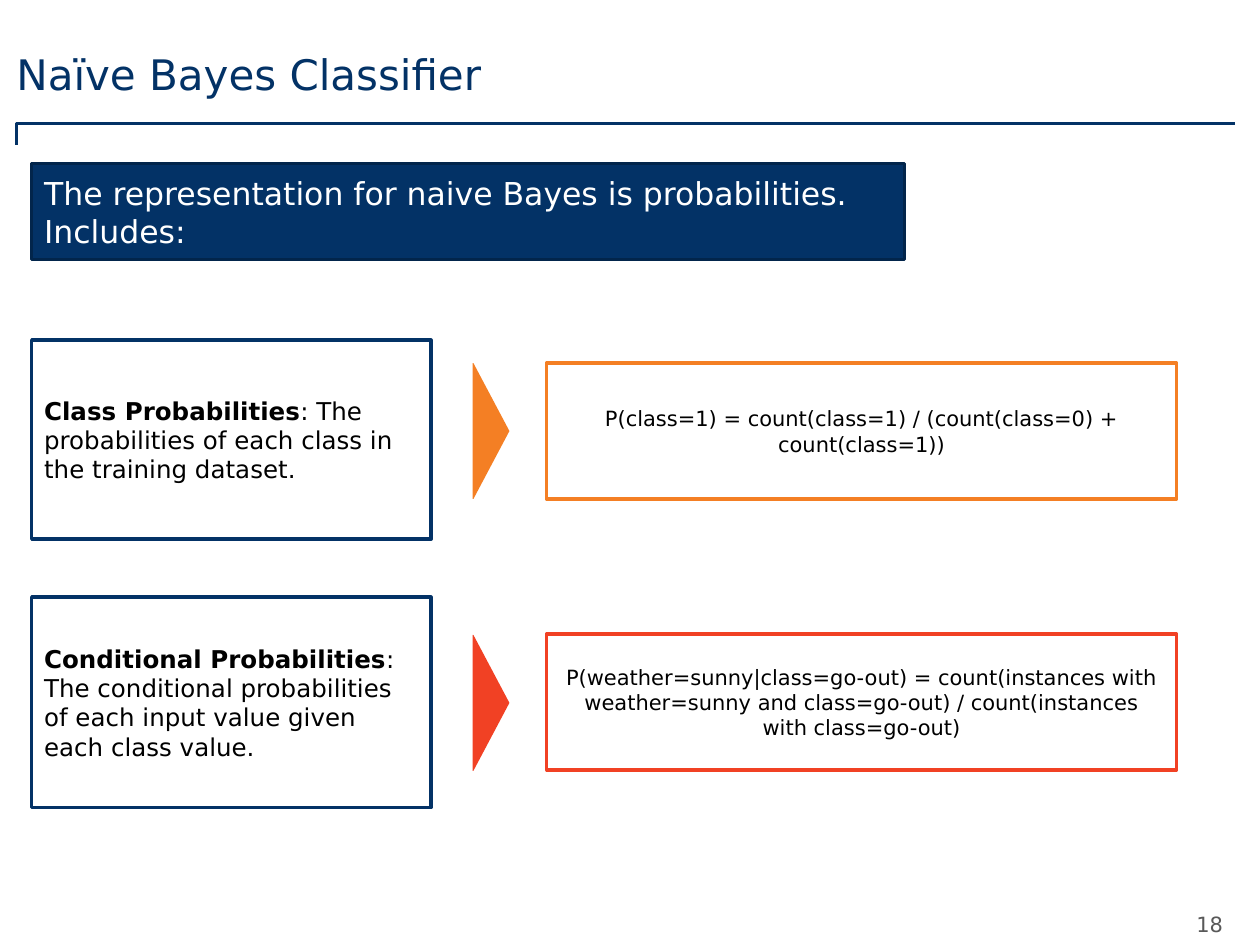
from pptx import Presentation
from pptx import util as u
from pptx.dml.color import RGBColor
from pptx.enum import shapes, text

COLORS = {"navy": "033266", "edge": "02254B", "orange": "F47F24", "red": "F14124",
          "white": "FFFFFF", "black": "000000", "gray": "595959"}
RGB = {name: RGBColor.from_string(value) for name, value in COLORS.items()}
LEFT, CENTER = text.PP_ALIGN.LEFT, text.PP_ALIGN.CENTER
TOP, MIDDLE = text.MSO_ANCHOR.TOP, text.MSO_ANCHOR.MIDDLE


def add_box(kind, box, fill, line=None):
    sp = s.shapes.add_shape(kind, *map(u.Cm, box))
    sp.shadow.inherit = False
    sp.fill.solid()
    sp.fill.fore_color.rgb = RGB[fill]
    if line:
        sp.line.color.rgb = RGB[line]
        sp.line.width = u.Pt(2)
    else:
        sp.line.fill.background()
    return sp


def write(sp, paragraphs, size, color, align=LEFT, anchor=MIDDLE):
    tf = sp.text_frame
    for name, value in {"word_wrap": True, "vertical_anchor": anchor}.items():
        setattr(tf, name, value)
    for i, runs in enumerate(paragraphs):
        p = tf.add_paragraph() if i else tf.paragraphs[0]
        p.alignment = align
        for words, bold in runs:
            r = p.add_run()
            r.text = words
            r.font.color.rgb = RGB[color]
            style = {"name": "DejaVu Sans", "size": u.Pt(size), "bold": bold}
            for name, value in style.items():
                setattr(r.font, name, value)


prs = Presentation()
prs.slide_width, prs.slide_height = u.Cm(25.4), u.Cm(19.05)
s = prs.slides.add_slide(prs.slide_layouts[5])

path = s.shapes.build_freeform(u.Cm(0.33), u.Cm(2.92))
path.add_line_segments([(u.Cm(0.33), u.Cm(2.49)), (u.Cm(24.89), u.Cm(2.49))], close=False)
rule = path.convert_to_shape()
rule.shadow.inherit = False
rule.fill.background()
rule.line.color.rgb = RGB["navy"]
rule.line.width = u.Pt(1.5)

number = add_box(shapes.MSO_SHAPE.RECTANGLE, (23.65, 18.26, 1.47, 0.74), "white")
write(number, [[("18", False)]], 12, "gray", CENTER, TOP)

title = s.shapes.title
for name, value in {"left": 0.33, "top": 0.58, "width": 22.35, "height": 1.83}.items():
    setattr(title, name, u.Cm(value))
for side in ("left", "top", "right", "bottom"):
    setattr(title.text_frame, f"margin_{side}", 0)
write(title, [[("Naïve Bayes Classifier", False)]], 24, "navy")

banner = add_box(shapes.MSO_SHAPE.RECTANGLE, (0.64, 3.3, 17.6, 1.93), "navy", "edge")
write(banner, [[("The representation for naive Bayes is probabilities.", False)],
               [("Includes:", False)]], 18, "white")

rows = [
    ("orange", 6.86, 4.01, 7.32, 7.32, "Class Probabilities",
     ": The probabilities of each class in the training dataset.",
     "P(class=1) = count(class=1) / (count(class=0) + count(class=1))"),
    ("red", 12.04, 4.24, 12.8, 12.78, "Conditional Probabilities",
     ": The conditional probabilities of each input value given each class value.",
     "P(weather=sunny|class=go-out) = count(instances with weather=sunny and "
     "class=go-out) / count(instances with class=go-out)"),
]
for color, top, height, arrow_top, formula_top, term, meaning, formula in rows:
    arrow = add_box(shapes.MSO_SHAPE.PENTAGON, (9.53, arrow_top, 0.74, 2.74), color)
    arrow.adjustments[0] = 0.98
    sp = add_box(shapes.MSO_SHAPE.RECTANGLE, (11.02, formula_top, 12.7, 2.74), "white", color)
    write(sp, [[(formula, False)]], 12, "black", CENTER)
    sp = add_box(shapes.MSO_SHAPE.RECTANGLE, (0.64, top, 8.05, height), "white", "navy")
    write(sp, [[(term, True), (meaning, False)]], 14, "black")

prs.save("out.pptx")
